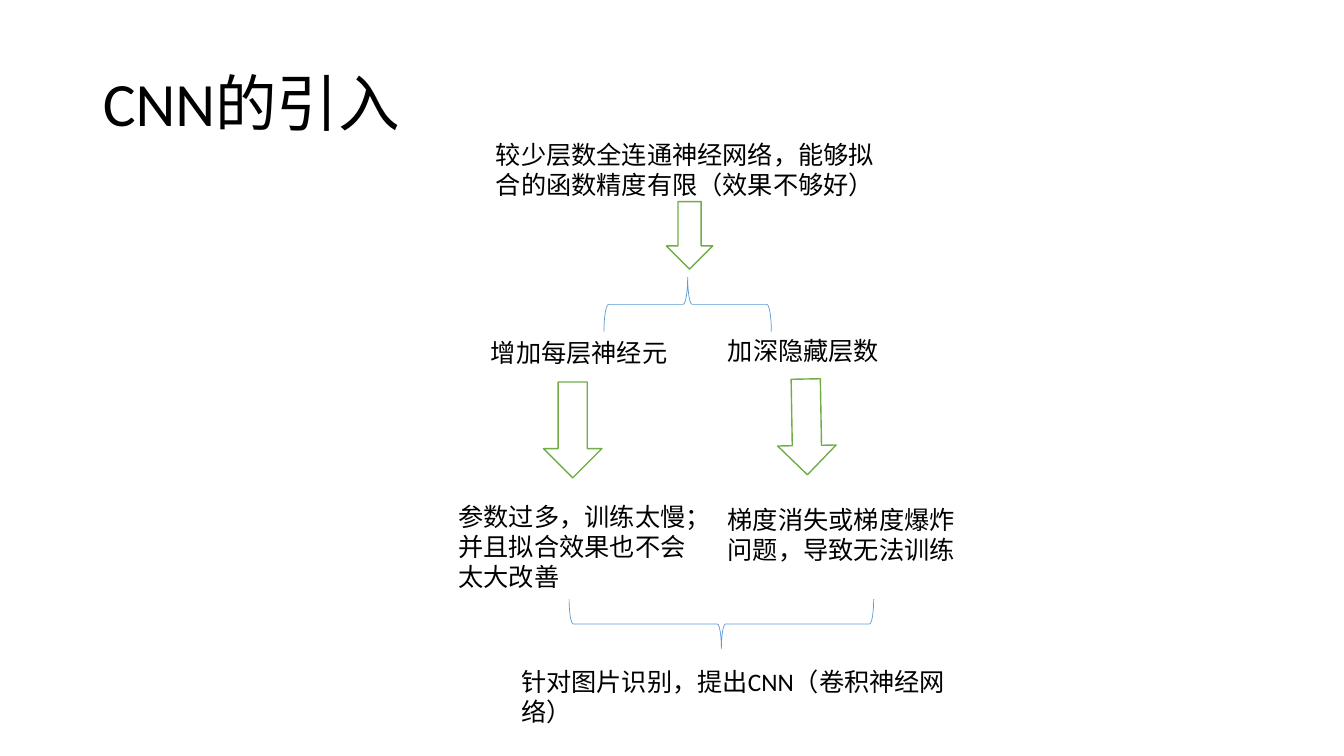
from pptx import Presentation
from pptx import util as u
from pptx.dml.color import RGBColor
from pptx.enum import shapes, text

deck = Presentation()
deck.slide_width, deck.slide_height = u.Inches(13.33), u.Inches(7.5)
slide = deck.slides.add_slide(deck.slide_layouts[5])


def paint(color, tone):
    """Give a fill, line or font colour its hex value."""
    color.rgb = RGBColor.from_string(tone)


def write(para, words, size):
    run = para.add_run()
    run.text = words
    run.font.name = "Calibri"
    run.font.size = u.Pt(size)
    paint(run.font.color, "000000")


title = slide.shapes.title
title.left, title.top = u.Inches(0.92), u.Inches(0.4)
title.width, title.height = u.Inches(11.5), u.Inches(1.32)
title.text_frame.vertical_anchor = text.MSO_ANCHOR.MIDDLE
head = title.text_frame.paragraphs[0]
head.alignment = text.PP_ALIGN.LEFT
head.line_spacing = 0.9
write(head, "CNN的引入", 44)

# Steps: left, top, width, height, paragraphs
steps = [
    (4.82, 1.33, 4.11, 0.7, ["较少层数全连通神经网络，能够拟合的函数精度有限（效果不够好）"]),
    (4.77, 3.3, 2.15, 0.4, ["增加每层神经元"]),
    (7.12, 3.28, 2.15, 0.4, ["加深隐藏层数"]),
    (4.45, 4.92, 2.47, 1.3, ["参数过多，训练太慢；", "并且拟合效果也不会太大改善"]),
    (7.12, 4.95, 2.47, 0.7, ["梯度消失或梯度爆炸问题，导致无法训练"]),
    (5.07, 6.56, 4.81, 0.4, ["针对图片识别，提出CNN（卷积神经网络）"]),
]
for *place, lines in steps:
    box = slide.shapes.add_textbox(*map(u.Inches, place))
    frame = box.text_frame
    frame.word_wrap = True
    frame.auto_size = text.MSO_AUTO_SIZE.SHAPE_TO_FIT_TEXT
    for i, line in enumerate(lines):
        para = frame.add_paragraph() if i else frame.paragraphs[0]
        write(para, line, 18)

# Arrows and braces: left, top, width, height, rotation
arrow, brace = shapes.MSO_SHAPE.DOWN_ARROW, shapes.MSO_SHAPE.LEFT_BRACE
marks = [
    (arrow, 6.61, 2, 0.46, 0.67, 0),
    (arrow, 5.39, 3.79, 0.58, 0.95, 0),
    (arrow, 7.71, 3.76, 0.58, 0.95, 359),
    (brace, 6.55, 2.19, 0.54, 1.66, 90),
    (brace, 6.91, 4.68, 0.49, 3.02, 270),
]
for kind, *place, turn in marks:
    mark = slide.shapes.add_shape(kind, *map(u.Inches, place))
    mark.rotation = turn
    mark.shadow.inherit = False
    if kind == arrow:
        mark.fill.solid()
        paint(mark.fill.fore_color, "FFFFFF")
        paint(mark.line.color, "70AD47")
        mark.line.width = u.Pt(1)
    else:
        mark.fill.background()
        paint(mark.line.color, "5B9BD5")
        mark.line.width = u.Pt(0.5)

deck.save("out.pptx")
